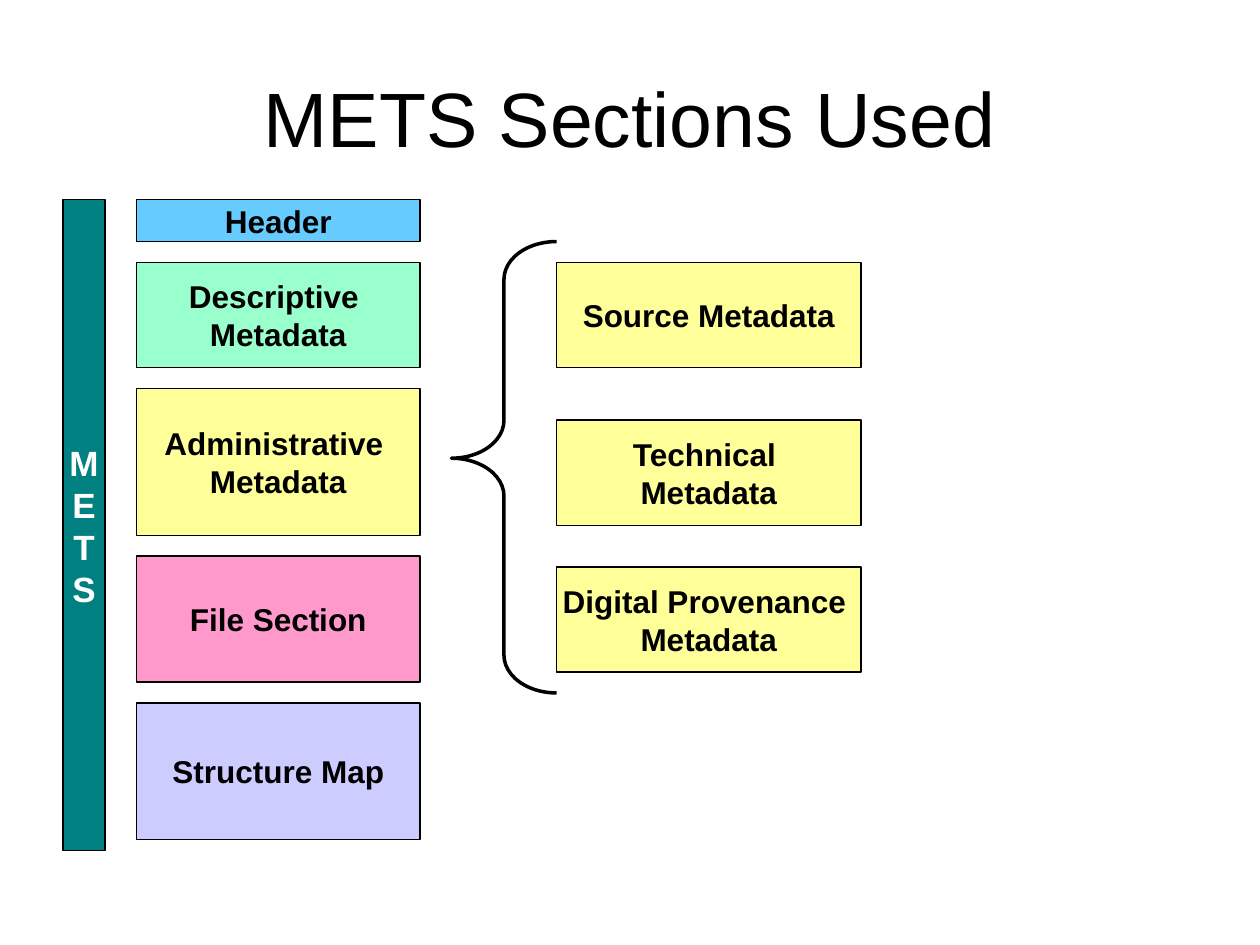
from pptx import Presentation
from pptx import util as u
from pptx.dml.color import RGBColor
from pptx.enum import shapes, text

COLOURS = {
    "black": "000000",
    "white": "FFFFFF",
    "teal": "008080",
    "blue": "66CCFF",
    "green": "99FFCC",
    "yellow": "FFFF99",
    "pink": "FF99CC",
    "lilac": "CCCCFF",
}


def colour(name):
    return RGBColor.from_string(COLOURS[name])


class SectionSlide:
    font_name = "Arial"
    frame_format = {
        "vertical_anchor": text.MSO_ANCHOR.MIDDLE,
        "margin_left": u.Cm(0.25),
        "margin_right": u.Cm(0.25),
        "margin_top": u.Cm(0.13),
        "margin_bottom": u.Cm(0.13),
    }

    def __init__(self, presentation):
        self.slide = presentation.slides.add_slide(presentation.slide_layouts[5])

    def label(self, shape, wording, size, bold, ink, wrap):
        frame = shape.text_frame
        frame.text = wording
        for name, value in {**self.frame_format, "word_wrap": wrap}.items():
            setattr(frame, name, value)
        font_format = {"name": self.font_name, "size": u.Pt(size), "bold": bold}
        for paragraph in frame.paragraphs:
            paragraph.alignment = text.PP_ALIGN.CENTER
            for name, value in font_format.items():
                setattr(paragraph.font, name, value)
            paragraph.font.color.rgb = colour(ink)

    def title(self, wording, left, top, width, height):
        shape = self.slide.shapes.title
        place = {"left": left, "top": top, "width": width, "height": height}
        for name, value in place.items():
            setattr(shape, name, u.Cm(value))
        self.label(shape, wording, 44, False, "black", True)

    def outline(self, kind, left, top, width, height, line_width):
        place = [u.Cm(value) for value in (left, top, width, height)]
        shape = self.slide.shapes.add_shape(kind, *place)
        shape.shadow.inherit = False
        shape.line.color.rgb = colour("black")
        shape.line.width = u.Pt(line_width)
        return shape

    def box(self, wording, left, top, width, height, fill, size=18, ink="black"):
        shape = self.outline(shapes.MSO_SHAPE.RECTANGLE, left, top, width, height, 0.75)
        shape.fill.solid()
        shape.fill.fore_color.rgb = colour(fill)
        self.label(shape, wording, size, True, ink, False)

    def brace(self, left, top, width, height, curve, point):
        shape = self.outline(shapes.MSO_SHAPE.LEFT_BRACE, left, top, width, height, 2)
        shape.fill.background()
        shape.adjustments[0] = curve
        shape.adjustments[1] = point


def main():
    presentation = Presentation()
    presentation.slide_width = u.Cm(25.4)
    presentation.slide_height = u.Cm(19.05)
    page = SectionSlide(presentation)

    page.title("METS Sections Used", 1.27, 0.76, 22.86, 3.18)
    column_top = 4.02
    page.box("\n".join("METS"), 1.27, column_top, 0.85, 13.13, "teal", 20, "white")

    sections = [
        ("Header", 0.85, "blue"),
        ("Descriptive \nMetadata", 2.12, "green"),
        ("Administrative \nMetadata", 2.96, "yellow"),
        ("File Section", 2.54, "pink"),
        ("Structure Map", 2.75, "lilac"),
    ]
    gap = 0.42
    top = column_top
    for wording, height, fill in sections:
        page.box(wording, 2.75, top, 5.72, height, fill)
        top += height + gap

    page.brace(9.1, 4.87, 2.12, 9.1, 0.36, 0.48)

    administrative_parts = [
        ("Source Metadata", 5.29),
        ("Technical \nMetadata", 8.47),
        ("Digital Provenance \nMetadata", 11.43),
    ]
    for wording, top in administrative_parts:
        page.box(wording, 11.22, top, 6.14, 2.12, "yellow")

    presentation.save("out.pptx")


if __name__ == "__main__":
    main()
